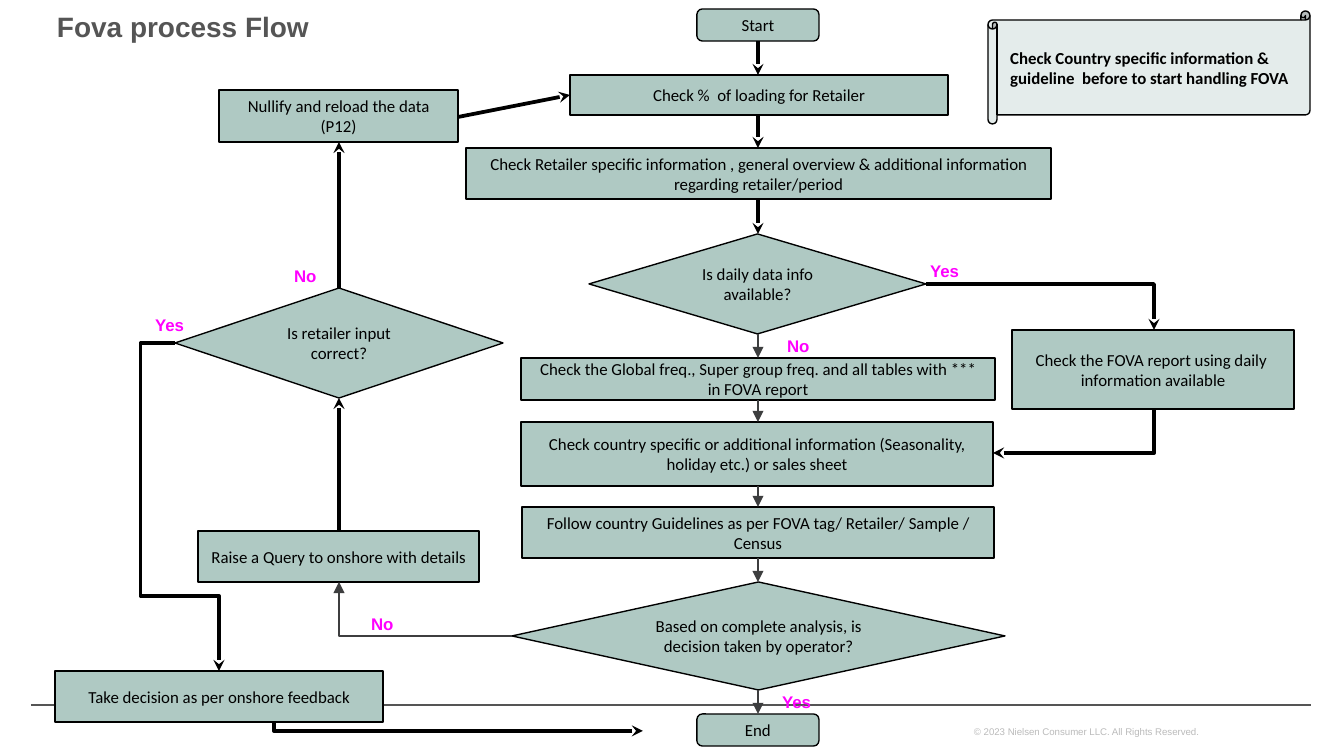
from lxml import etree
from pptx import Presentation
from pptx import util as u
from pptx.dml.color import RGBColor
from pptx.enum import shapes, text
from pptx.oxml import ns

PX = 914400 / 134.4
BLACK = RGBColor(0x00, 0x00, 0x00)
SAGE = RGBColor(0xAF, 0xC9, 0xC3)
MIST = RGBColor(0xE4, 0xEC, 0xEB)
MAGENTA = RGBColor(0xFF, 0x00, 0xFF)
SLATE = RGBColor(0x55, 0x55, 0x55)
CHARCOAL = RGBColor(0x3D, 0x3E, 0x3F)
SILVER = RGBColor(0xBB, 0xBB, 0xBB)

PROCESS = shapes.MSO_SHAPE.FLOWCHART_PROCESS
DECISION = shapes.MSO_SHAPE.FLOWCHART_DECISION
TERMINAL = shapes.MSO_SHAPE.FLOWCHART_ALTERNATE_PROCESS
SCROLL = shapes.MSO_SHAPE.HORIZONTAL_SCROLL


def emu(*lengths):
    return [u.Emu(round(length * PX)) for length in lengths]


class Flowchart:
    def __init__(self, slide):
        self.slide = slide

    def fill_text(self, frame, wording, font, size, color, bold=False, align=None):
        frame.word_wrap = True
        paragraph = frame.paragraphs[0]
        paragraph.text = wording
        paragraph.alignment = align
        paragraph.font.name = font
        paragraph.font.size = u.Pt(size)
        paragraph.font.bold = bold
        paragraph.font.color.rgb = color

    def label(self, wording, left, top, width=77, height=31, size=9,
              color=MAGENTA, bold=True, side_inset=13):
        box = self.slide.shapes.add_textbox(*emu(left, top, width, height))
        frame = box.text_frame
        frame.margin_left, frame.margin_right = emu(side_inset, side_inset)
        self.fill_text(frame, wording, "Arial", size, color, bold)
        return frame.paragraphs[0]

    def step(self, kind, wording, left, top, width, height, fill=SAGE,
             bold=False, align=text.PP_ALIGN.CENTER):
        step = self.slide.shapes.add_shape(kind, *emu(left, top, width, height))
        step.shadow.inherit = False
        step.fill.solid()
        step.fill.fore_color.rgb = fill
        step.line.color.rgb = BLACK
        step.line.width = u.Pt(0.75)
        step.text_frame.vertical_anchor = text.MSO_ANCHOR.MIDDLE
        self.fill_text(step.text_frame, wording, "Calibri", 9, BLACK, bold, align)
        return step

    def link(self, x1, y1, x2, y2, color=BLACK, weight=2, arrow="stealth",
             end="tailEnd", bends=0, adjust=()):
        kind = shapes.MSO_CONNECTOR.ELBOW if bends else shapes.MSO_CONNECTOR.STRAIGHT
        link = self.slide.shapes.add_connector(kind, *emu(x1, y1, x2, y2))
        link.line.color.rgb = color
        link.line.width = u.Pt(weight)
        properties = link.element.spPr
        if arrow:
            line = properties.find(ns.qn("a:ln"))
            etree.SubElement(line, ns.qn("a:" + end), type=arrow)
        etree.SubElement(properties, ns.qn("a:effectLst"))
        if bends:
            geometry = properties.find(ns.qn("a:prstGeom"))
            geometry.set("prst", f"bentConnector{bends + 1}")
            guides = geometry.find(ns.qn("a:avLst"))
            for number, value in enumerate(adjust, 1):
                etree.SubElement(guides, ns.qn("a:gd"), name=f"adj{number}",
                                 fmla=f"val {value}")


def main():
    deck = Presentation()
    deck.slide_width, deck.slide_height = emu(1344, 756)
    chart = Flowchart(deck.slides.add_slide(deck.slide_layouts[6]))

    chart.label("© 2023 Nielsen Consumer LLC. All Rights Reserved.", 974, 719,
                286, 26, 5.2, SILVER, False, 0)
    chart.link(31, 705, 1311, 705, SLATE, 1, None)
    title = chart.label("Fova process Flow", 44, 5, 461, 78, 15, SLATE)
    title.line_spacing = 0.95

    for kind, wording, *place in (
        (TERMINAL, "Start", 697, 9, 122, 32),
        (PROCESS, "Check %  of loading for Retailer", 570, 75, 378, 40),
        (PROCESS, "Check Retailer specific information , general overview & "
                  "additional information regarding retailer/period", 466, 148, 585, 51),
        (DECISION, "Is daily data info available?", 589, 234, 337, 100),
        (PROCESS, "Check the Global freq., Super group freq. and all tables "
                  "with *** in FOVA report", 521, 358, 474, 42),
        (PROCESS, "Check country specific or additional information "
                  "(Seasonality, holiday etc.) or sales sheet", 521, 422, 472, 64),
        (PROCESS, "Follow country Guidelines as per FOVA tag/ Retailer/ "
                  "Sample / Census", 522, 507, 472, 51),
        (DECISION, "Based on complete analysis, is decision taken by operator?",
         512, 582, 493, 108),
        (TERMINAL, "End", 697, 714, 122, 32),
        (PROCESS, "Check the FOVA report using daily  information available",
         1012, 330, 282, 79),
        (PROCESS, "Nullify and reload the data (P12)", 219, 90, 239, 52),
        (DECISION, "Is retailer input correct?", 175, 288, 328, 110),
        (PROCESS, "Raise a Query to onshore with details", 198, 531, 281, 51),
        (PROCESS, "Take decision as per onshore feedback", 55, 671, 328, 51),
    ):
        chart.step(kind, wording, *place)

    notice = chart.step(SCROLL, "Check Country specific information & guideline  "
                        "before to start handling FOVA", 988, 11, 322, 113,
                        MIST, True, text.PP_ALIGN.LEFT)
    notice.adjustments[0] = 0.08

    for top, bottom in ((41, 75), (115, 148), (199, 234)):
        chart.link(758, top, 758, bottom)
    for top, bottom in ((334, 358), (400, 422), (486, 507), (558, 582), (690, 714)):
        chart.link(758, top, 758, bottom, CHARCOAL, 0.75, "triangle")
    for bottom, top in ((531, 398), (288, 142)):
        chart.link(339, bottom, 339, top)
    chart.link(458, 117, 570, 95)

    chart.link(926, 284, 1154, 330, bends=1)
    chart.link(993, 453, 1154, 409, end="headEnd", bends=1)
    chart.link(643, 731, 274, 722, end="headEnd", bends=1)
    chart.link(512, 636, 339, 582, CHARCOAL, 0.75, "triangle", bends=1)
    chart.link(175, 343, 219, 671, bends=3, adjust=(-78200, 77100))

    for answer, left, top in (
        ("No", 774, 329), ("Yes", 769, 685), ("No", 358, 607),
        ("Yes", 142, 308), ("No", 281, 259), ("Yes", 917, 254),
    ):
        chart.label(answer, left, top)

    deck.save("out.pptx")


if __name__ == "__main__":
    main()
